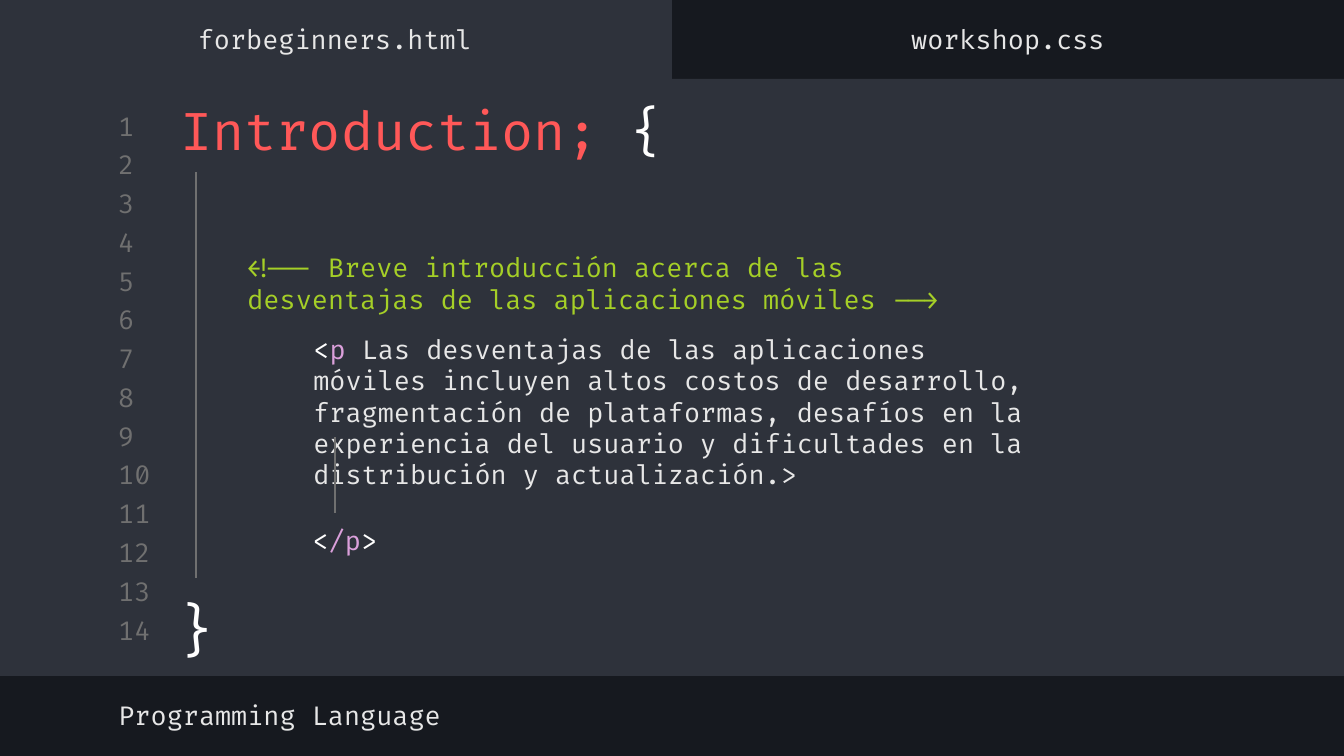
from lxml.etree import SubElement
from pptx import Presentation
from pptx.dml.color import RGBColor
from pptx.enum.shapes import MSO_CONNECTOR, MSO_SHAPE
from pptx.enum.text import MSO_ANCHOR, MSO_AUTO_SIZE, PP_ALIGN
from pptx.oxml.ns import qn
from pptx.util import Inches, Pt

PX = 914400 / 134.4  # EMU per px
FONT = "Fira Code"
DARK, PANEL, GRAY = "16191F", "2E323B", "707070"
WHITE, LIGHT, RED, GREEN, PINK = "FFFFFF", "E7E7E7", "FF5858", "A5CF27", "DBA0DB"


def color(hex_string):
    return RGBColor.from_string(hex_string)


def write(shape, box, paragraphs, size=14, align=PP_ALIGN.LEFT, anchor=MSO_ANCHOR.MIDDLE):
    """Place a text shape and fill it; each paragraph is a list of (text, colour)."""
    shape.left, shape.top, shape.width, shape.height = [round(n * PX) for n in box]
    frame = shape.text_frame
    frame.word_wrap = True
    frame.auto_size = MSO_AUTO_SIZE.NONE
    frame.vertical_anchor = anchor
    frame.margin_left = frame.margin_right = Inches(0.1)
    frame.margin_top = frame.margin_bottom = Inches(0.1)
    for number, pieces in enumerate(paragraphs):
        paragraph = frame.add_paragraph() if number else frame.paragraphs[0]
        paragraph.alignment = align
        paragraph.space_before = Pt(0)
        properties = paragraph._p.get_or_add_pPr()
        properties.set("marL", "0")
        properties.set("indent", "0")
        SubElement(properties, qn("a:buNone"))
        for text, hex_string in pieces:
            run = paragraph.add_run()
            run.text = text
            run.font.name = FONT
            run.font.size = Pt(size)
            run.font.bold = False
            run.font.color.rgb = color(hex_string)


presentation = Presentation()
presentation.slide_width = round(1344 * PX)
presentation.slide_height = round(756 * PX)
slide = presentation.slides.add_slide(presentation.slide_layouts.get_by_name("Comparison"))
shapes = slide.shapes
title, code, footer, left_tab, right_tab = slide.placeholders

# Dark window with the editor panel and its active tab
slide.background.fill.solid()
slide.background.fill.fore_color.rgb = color(DARK)
for box in [(0, 79, 1344, 597), (0, 0, 672, 87)]:
    panel = shapes.add_shape(MSO_SHAPE.RECTANGLE, *[round(n * PX) for n in box])
    panel.shadow.inherit = False
    panel.fill.solid()
    panel.fill.fore_color.rgb = color(PANEL)
    panel.line.fill.background()
    # Panels belong behind the placeholders
    shapes._spTree.remove(panel._element)
    title._element.addprevious(panel._element)

# Line numbers
for index in range(14):
    number_box = shapes.add_textbox(0, 0, 0, 0)
    write(number_box, (105, 110 + 504 * index // 13, 63, 32), [[(str(index + 1), GRAY)]])

# Title and code
write(title, (167, 91, 594, 78), [[("Introduction; ", RED), ("{", WHITE)]], size=28)
write(code, (234, 231, 814, 280), [
    [("<!-- Breve introducción acerca de las desventajas de las aplicaciones móviles -->", GREEN)],
    [("<", WHITE), ("p ", PINK),
     ("Las desventajas de las aplicaciones móviles incluyen altos costos de desarrollo, "
      "fragmentación de plataformas, desafíos en la experiencia del usuario y dificultades "
      "en la distribución y actualización.>", LIGHT)],
])
paragraph = code.text_frame.paragraphs[1]
paragraph.space_before = Pt(10)
paragraph._p.get_or_add_pPr().set("marL", str(round(66 * PX)))

# Indent guides
for x, top, bottom in [(196, 172, 578), (335, 437, 513)]:
    guide = shapes.add_connector(
        MSO_CONNECTOR.STRAIGHT, *[round(n * PX) for n in (x, top, x, bottom)])
    guide.line.color.rgb = color(GRAY)
    guide.line.width = Pt(0.75)
    SubElement(guide._element.spPr, qn("a:effectLst"))

# Closing brace and closing tag
for box, pieces, size in [
    ((160, 581, 74, 95), [("}", WHITE)], 30),
    ((296, 511, 98, 59), [("<", WHITE), ("/p", PINK), (">", WHITE)], 14),
]:
    closing = shapes.add_textbox(0, 0, 0, 0)
    write(closing, box, [pieces], size, PP_ALIGN.CENTER, MSO_ANCHOR.TOP)

# Footer and tab names
write(footer, (105, 689, 715, 52), [[("Programming Language", LIGHT)]])
for tab, left, name in [(left_tab, -1, "forbeginners.html"), (right_tab, 672, "workshop.css")]:
    write(tab, (left, 13, 672, 52), [[(name, LIGHT)]], align=PP_ALIGN.CENTER)

presentation.save("out.pptx")
